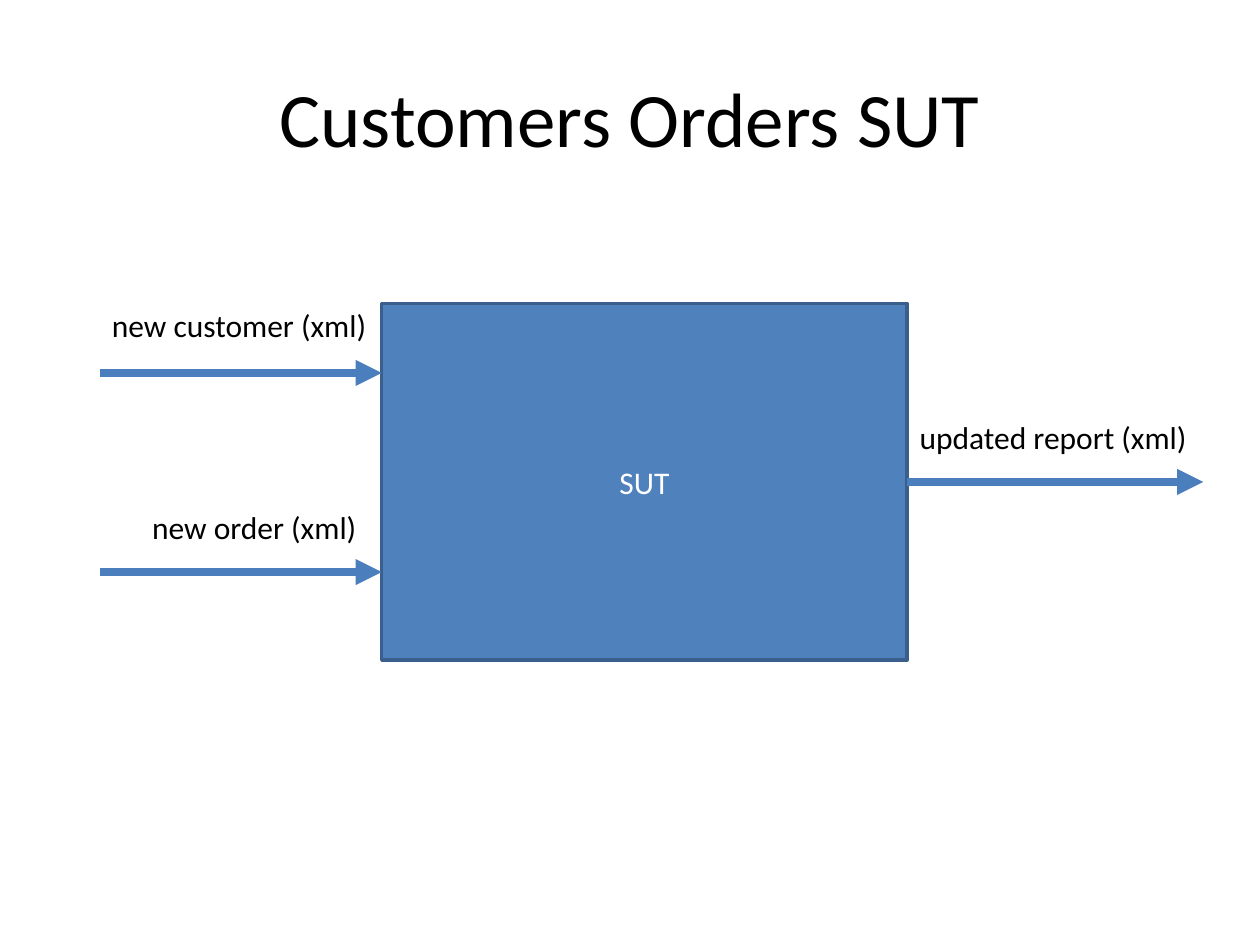
from dataclasses import dataclass

from lxml import etree
from pptx import Presentation
from pptx import util as u
from pptx.dml.color import RGBColor
from pptx.enum import shapes, text
from pptx.oxml.ns import qn


@dataclass(frozen=True)
class Theme:
    font: str = "Calibri"
    ink: str = "000000"
    paper: str = "FFFFFF"
    box_fill: str = "4F81BD"
    box_line: str = "3A5F8C"
    arrow: str = "4B7EBC"
    title_size: int = 44
    body_size: int = 18
    box_width: int = 2
    arrow_width: int = 5


# Content and layout, in inches
THEME = Theme()
WIDTH, HEIGHT = 10, 7.5
TITLE = "Customers Orders SUT"
TITLE_AREA = (WIDTH * 0.05, HEIGHT * 0.04, WIDTH * 0.9, 1.25)
SYSTEM = "SUT"
LEFT, TOP, BOX_WIDTH, BOX_HEIGHT = SYSTEM_AREA = (3.03, 2.41, 4.17, 2.83)
RIGHT = LEFT + BOX_WIDTH
INPUT_SPAN = (0.79, LEFT)
OUTPUT_SPAN = (RIGHT, 9.55)
LABEL_HEIGHT = 0.4
# label, arrow span, arrow height, label left, label width, rise above arrow
FLOWS = [
    ("new customer (xml)", INPUT_SPAN, 2.96, 0.79, 2.24, 0.58),
    ("new order (xml)", INPUT_SPAN, 4.54, 1.11, 1.84, 0.56),
    ("updated report (xml)", OUTPUT_SPAN, TOP + BOX_HEIGHT / 2, RIGHT, 2.35, 0.56),
]


def color(value):
    return RGBColor.from_string(value)


def inches(*lengths):
    return [u.Inches(length) for length in lengths]


def write(shape, words, *, size=THEME.body_size, ink=THEME.ink,
          align=text.PP_ALIGN.LEFT, anchor=text.MSO_ANCHOR.TOP, wrap=True):
    frame = shape.text_frame
    frame.word_wrap = wrap
    frame.vertical_anchor = anchor
    if not wrap:
        frame.auto_size = text.MSO_AUTO_SIZE.SHAPE_TO_FIT_TEXT
    paragraph = frame.paragraphs[0]
    paragraph.alignment = align
    run = paragraph.add_run()
    run.text = words
    run.font.name = THEME.font
    run.font.size = u.Pt(size)
    run.font.color.rgb = color(ink)


def add_arrow(slide, start, end, y):
    arrow = slide.shapes.add_connector(
        shapes.MSO_CONNECTOR.STRAIGHT, *inches(start, y, end, y))
    arrow.line.color.rgb = color(THEME.arrow)
    arrow.line.width = u.Pt(THEME.arrow_width)
    etree.SubElement(arrow.line._get_or_add_ln(), qn("a:tailEnd"), type="triangle")
    etree.SubElement(arrow._element.spPr, qn("a:effectLst"))


presentation = Presentation()
presentation.slide_width, presentation.slide_height = inches(WIDTH, HEIGHT)
slide = presentation.slides.add_slide(presentation.slide_layouts[6])
slide.background.fill.solid()
slide.background.fill.fore_color.rgb = color(THEME.paper)
centred = {"align": text.PP_ALIGN.CENTER, "anchor": text.MSO_ANCHOR.MIDDLE}

# Title
write(slide.shapes.add_textbox(*inches(*TITLE_AREA)), TITLE,
      size=THEME.title_size, **centred)

# System under test
system = slide.shapes.add_shape(shapes.MSO_SHAPE.RECTANGLE, *inches(*SYSTEM_AREA))
system.shadow.inherit = False
system.fill.solid()
system.fill.fore_color.rgb = color(THEME.box_fill)
system.line.color.rgb = color(THEME.box_line)
system.line.width = u.Pt(THEME.box_width)
write(system, SYSTEM, ink=THEME.paper, **centred)

# Inputs and output
for label, span, y, label_left, label_width, rise in FLOWS:
    add_arrow(slide, *span, y)
    area = inches(label_left, y - rise, label_width, LABEL_HEIGHT)
    write(slide.shapes.add_textbox(*area), label, wrap=False)

presentation.save("out.pptx")
